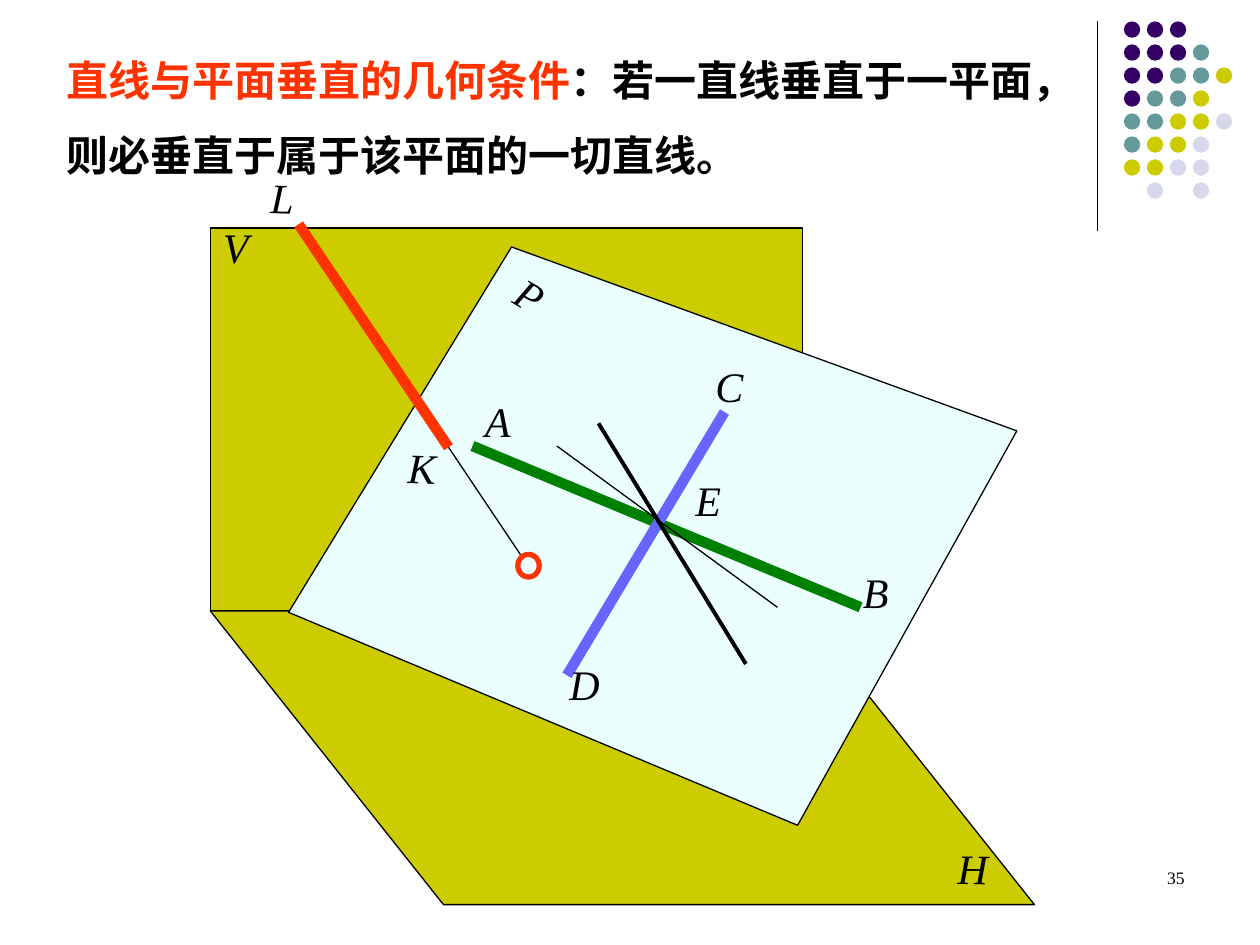
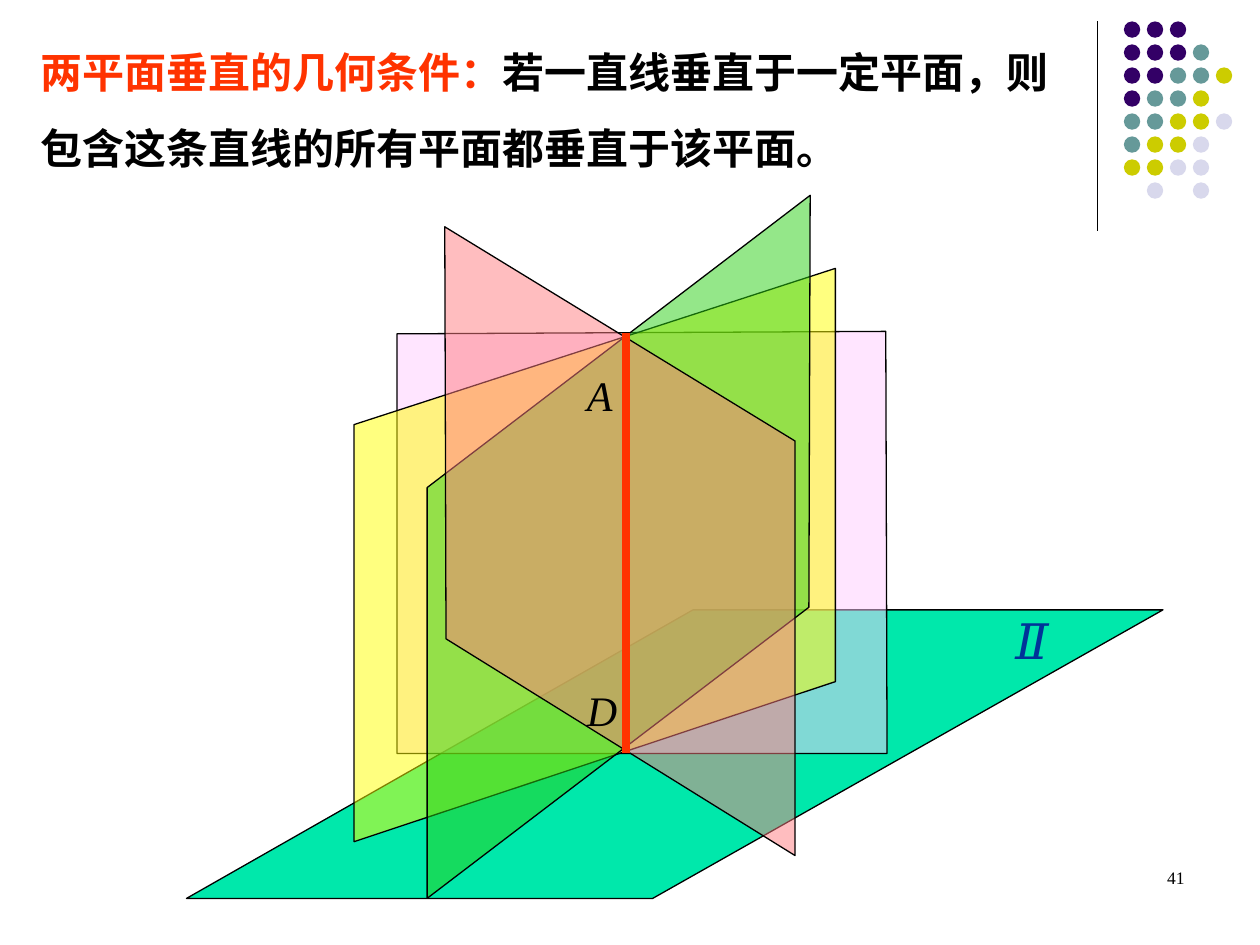
"""Build two slides on the geometric conditions for perpendicular lines and planes."""
from lxml import etree
from pptx import Presentation
from pptx.dml.color import RGBColor
from pptx.enum.shapes import MSO_CONNECTOR, MSO_SHAPE
from pptx.enum.text import MSO_ANCHOR, PP_ALIGN
from pptx.oxml.ns import qn
from pptx.util import Inches, Pt

STRAIGHT = MSO_CONNECTOR.STRAIGHT
ELLIPSE = MSO_SHAPE.OVAL
TOP = MSO_ANCHOR.TOP
LEFT, RIGHT = PP_ALIGN.LEFT, PP_ALIGN.RIGHT

SERIF, SANS = "Times New Roman", "Arial"
BLACK, RED, OLIVE, ICE = "000000", "FF3300", "CCCC00", "EBFFFF"

DOT_COLORS = {"P": "330066", "T": "669999", "Y": OLIVE, "L": "D8D8EC"}
DOT_ROWS = ["PPP", "PPPT", "PPTTY", "PTTY", "TTYYL", "TYYL", "YYLL", " L L"]
DOT_LEFT, DOT_TOP, DOT_SIZE = 8.92, 0.17, 0.13
DOT_PITCH = (9.65 - DOT_LEFT) / 4
DIVIDER = ((8.71, 0.17), (8.71, 1.83), BLACK, 0.75)
NUMBER_BOX = (7.17, 6.83, 2.33, 0.5)

SLIDES = [
    {
        "title_box": (0.43, 0.18, 7.94, 1.3),
        "title": [("直线与平面垂直的几何条件", RED),
                  ("：若一直线垂直于一平面，则必垂直于属于该平面的一切直线。", BLACK)],
        "number": "35",
        "planes": [
            ([(1.67, 1.81), (6.37, 1.81), (6.37, 4.85), (1.67, 4.85)], OLIVE, None),
            ([(1.67, 4.85), (3.52, 7.18), (8.21, 7.18), (6.36, 4.85)], OLIVE, None),
            ([(4.06, 1.96), (2.29, 4.86), (6.33, 6.55), (8.07, 3.42)], ICE, None),
        ],
        "lines": [
            ((3.75, 3.54), (6.83, 4.82), "008000", 6),
            ((4.5, 5.36), (5.75, 3.27), "6666FF", 6),
            ((4.75, 3.36), (5.92, 5.27), BLACK, 2.25),
            ((4.42, 3.54), (6.17, 4.82), BLACK, 0.75),
            ((2.37, 1.78), (3.56, 3.55), RED, 6),
            ((3.56, 3.55), (4.19, 4.49), BLACK, 0.75),
        ],
        "rings": [(4.11, 4.4, 0.17, 0.18)],
        "labels": [
            ("V", (1.67, 1.71, 0.85, 0.5), {}),
            ("H", (7.5, 6.64, 0.85, 0.5), {"rotation": 0.6}),
            ("P", (4.01, 2.09, 0.4, 0.5), {"rotation": 30.7}),
            ("A", (3.75, 3.09, 0.42, 0.5), {}),
            ("K", (3.14, 3.46, 0.42, 0.5), {"rotation": 2.1}),
            ("L", (2.05, 1.32, 0.42, 0.5), {"rotation": 2.1}),
            ("D", (4.42, 5.18, 0.42, 0.5), {}),
            ("C", (5.58, 2.81, 0.42, 0.5), {}),
            ("B", (6.75, 4.45, 0.42, 0.5), {}),
            ("E", (5.42, 3.72, 0.42, 0.5), {}),
        ],
    },
    {
        "title_box": (0.22, 0.12, 8.34, 1.3),
        "title": [("两平面垂直的几何条件：", RED),
                  ("若一直线垂直于一定平面，则包含这条直线的所有平面都垂直于该平面。", BLACK)],
        "number": "41",
        "planes": [
            ([(1.48, 7.13), (5.18, 7.13), (9.23, 4.84), (5.5, 4.84)], "00E8AB", None),
            ([(3.15, 2.65), (3.15, 5.98), (7.04, 5.98), (7.03, 2.63)], "FFCCFF", 50),
            ([(2.81, 3.37), (2.81, 6.68), (6.63, 5.41), (6.63, 2.13)], "FFFF00", 50),
            ([(3.39, 3.87), (3.39, 7.13), (6.42, 4.82), (6.43, 1.55)], "2AD014", 50),
            ([(3.53, 1.8), (3.54, 5.07), (6.31, 6.79), (6.31, 3.5)], "FF7C80", 50),
        ],
        "lines": [((4.97, 2.64), (4.97, 5.98), RED, 4.5)],
        "rings": [],
        "labels": [
            ("Ⅱ", (7.96, 4.8, 0.46, 0.57), {"size": 28, "color": "003399", "wrap": False}),
            ("A", (4.56, 2.88, 0.6, 0.5), {}),
            ("D", (4.56, 5.38, 0.6, 0.5), {}),
        ],
    },
]


def rgb(color):
    return RGBColor.from_string(color)


def inches(values):
    return [Inches(value) for value in values]


def paint(shape, fill, line=None, width=0.75, opacity=None):
    shape.shadow.inherit = False
    shape.fill.solid()
    shape.fill.fore_color.rgb = rgb(fill)
    if opacity is not None:
        color = shape.fill._xPr.find(".//" + qn("a:srgbClr"))
        etree.SubElement(color, qn("a:alpha"), val=str(opacity * 1000))
    if line:
        shape.line.color.rgb = rgb(line)
        shape.line.width = Pt(width)
    else:
        shape.line.fill.background()


def add_text(page, spans, at, size=24, font=SERIF, color=BLACK, bold=False, italic=False,
             align=LEFT, spacing=None, rotation=0, wrap=True):
    box = page.shapes.add_textbox(*inches(at))
    box.rotation = rotation
    frame = box.text_frame
    frame.word_wrap = wrap
    frame.vertical_anchor = TOP
    para = frame.paragraphs[0]
    para.alignment = align
    if spacing:
        para.line_spacing = spacing
    for text, span_color in [(spans, color)] if isinstance(spans, str) else spans:
        span = para.add_run()
        span.text = text
        span.font.name = font
        span.font.size = Pt(size)
        span.font.bold = bold
        span.font.italic = italic
        span.font.color.rgb = rgb(span_color)


def add_line(page, start, end, color, width):
    line = page.shapes.add_connector(STRAIGHT, *inches(start + end))
    line.line.color.rgb = rgb(color)
    line.line.width = Pt(width)
    etree.SubElement(line._element.spPr, qn("a:effectLst"))


def add_plane(page, corners, fill, opacity):
    first, *others = [inches(corner) for corner in corners]
    outline = page.shapes.build_freeform(*first)
    outline.add_line_segments(others, close=True)
    paint(outline.convert_to_shape(), fill, BLACK, opacity=opacity)


def add_decoration(page):
    add_line(page, *DIVIDER)
    for row, letters in enumerate(DOT_ROWS):
        for column, letter in enumerate(letters):
            if letter in DOT_COLORS:
                at = (DOT_LEFT + column * DOT_PITCH, DOT_TOP + row * DOT_PITCH,
                      DOT_SIZE, DOT_SIZE)
                paint(page.shapes.add_shape(ELLIPSE, *inches(at)), DOT_COLORS[letter])


def add_page(deck, content):
    page = deck.slides.add_slide(deck.slide_layouts[6])
    add_decoration(page)
    for plane in content["planes"]:
        add_plane(page, *plane)
    for line in content["lines"]:
        add_line(page, *line)
    for at in content["rings"]:
        paint(page.shapes.add_shape(ELLIPSE, *inches(at)), ICE, RED, 3)
    for text, at, style in content["labels"]:
        add_text(page, text, at, italic=True, **style)
    add_text(page, content["title"], content["title_box"], font=SANS, bold=True, spacing=1.5)
    add_text(page, content["number"], NUMBER_BOX, size=10, align=RIGHT)


def main():
    deck = Presentation()
    deck.slide_width, deck.slide_height = Inches(10), Inches(7.5)
    for content in SLIDES:
        add_page(deck, content)
    deck.save("out.pptx")


if __name__ == "__main__":
    main()
